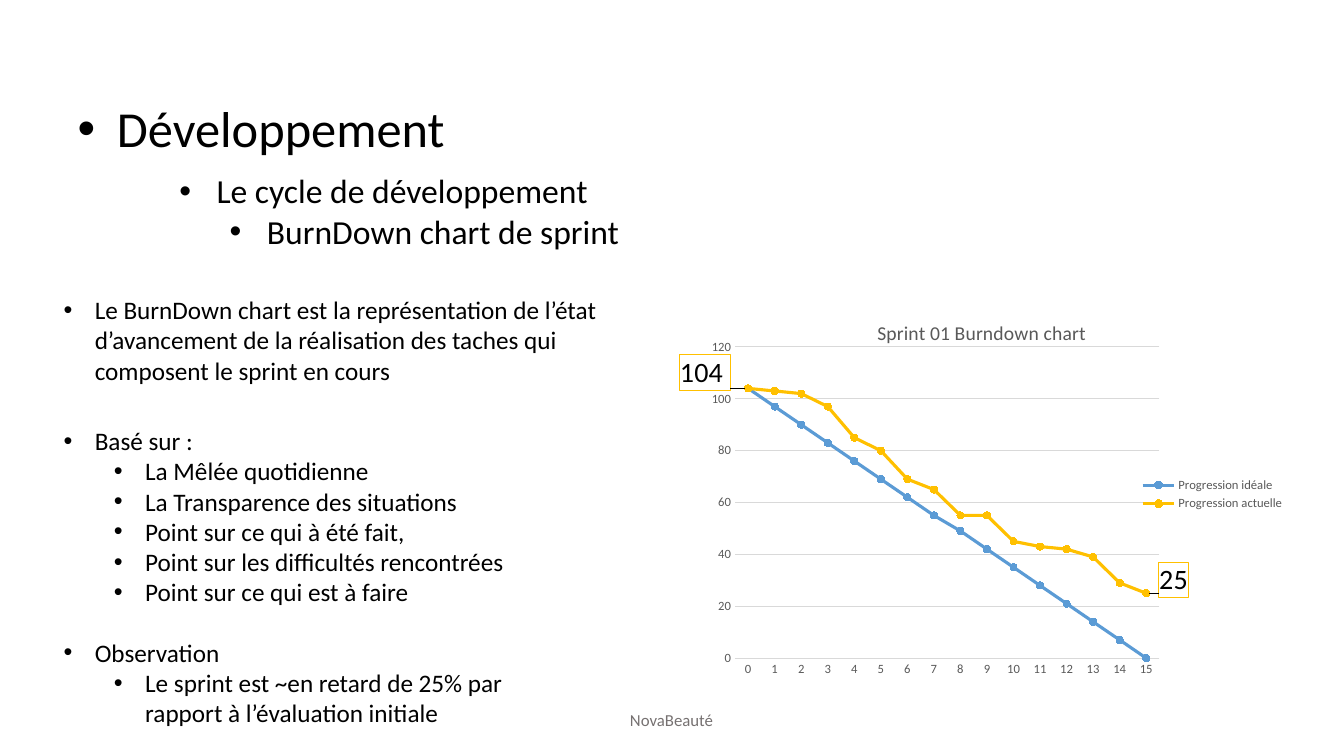
"""Build the sprint burndown chart slide."""
from lxml import etree
from pptx import Presentation
from pptx.chart.data import CategoryChartData
from pptx.dml.color import RGBColor
from pptx.enum.chart import (XL_CHART_TYPE, XL_LABEL_POSITION, XL_LEGEND_POSITION,
                             XL_MARKER_STYLE, XL_TICK_MARK)
from pptx.enum.text import MSO_ANCHOR, MSO_AUTO_SIZE, PP_ALIGN
from pptx.oxml import parse_xml
from pptx.oxml.ns import nsdecls, qn
from pptx.util import Inches, Pt

BLACK = RGBColor(0x00, 0x00, 0x00)
GREY = RGBColor(0x76, 0x71, 0x71)
CHART_GREY = RGBColor(0x59, 0x59, 0x59)
GRID = RGBColor(0xD9, 0xD9, 0xD9)
BLUE = RGBColor(0x5B, 0x9B, 0xD5)
GOLD = RGBColor(0xFF, 0xC0, 0x00)
FONT = "Calibri"
LINE_MARKERS = XL_CHART_TYPE.LINE_MARKERS
LEGEND_RIGHT = XL_LEGEND_POSITION.RIGHT
CIRCLE = XL_MARKER_STYLE.CIRCLE
NO_TICK = XL_TICK_MARK.NONE
LABEL_LEFT, LABEL_RIGHT = XL_LABEL_POSITION.LEFT, XL_LABEL_POSITION.RIGHT
TOP, LEFT, NO_FIT = MSO_ANCHOR.TOP, PP_ALIGN.LEFT, MSO_AUTO_SIZE.NONE


def fill_list(sp, box, items, size, indent, spacing=1.0):
    """Place a shape and fill it with (level, text, space before) bullets."""
    sp.left, sp.top, sp.width, sp.height = [Inches(v) for v in box]
    tf = sp.text_frame
    tf.word_wrap, tf.auto_size, tf.vertical_anchor = True, NO_FIT, TOP
    for i, (level, text, before) in enumerate(items):
        p = tf.add_paragraph() if i else tf.paragraphs[0]
        p.level, p.alignment, p.line_spacing = level, LEFT, spacing
        p.space_before, p.space_after = Pt(before), Pt(0)
        pPr = p._p.get_or_add_pPr()
        pPr.set("marL", str(Inches(indent + 0.5 * level)))
        pPr.set("indent", str(-Inches(indent)))
        etree.SubElement(pPr, qn("a:buFont")).set("typeface", "Arial")
        etree.SubElement(pPr, qn("a:buChar")).set("char", "•")
        r = p.add_run()
        r.text = text
        r.font.name, r.font.size, r.font.color.rgb = FONT, Pt(size), BLACK


def manual_layout(modes="", **fractions):
    """Return a chart layout element with the given fractions."""
    values = "".join(f'<c:{k} val="{v}"/>' for k, v in fractions.items())
    return parse_xml(f'<c:layout {nsdecls("c")}><c:manualLayout>{modes}{values}'
                     "</c:manualLayout></c:layout>")


prs = Presentation()
prs.slide_width, prs.slide_height = Inches(13.33), Inches(7.5)
s = prs.slides.add_slide(prs.slide_layouts[3])

sp = s.shapes.add_textbox(Inches(6.15), Inches(6.99), Inches(1.04), Inches(0.3))
sp.text_frame.word_wrap = False
r = sp.text_frame.paragraphs[0].add_run()
r.text = "NovaBeauté"
r.font.name, r.font.size, r.font.color.rgb = FONT, Pt(12), GREY

progress = [
    ("Progression idéale", BLUE,
     (104, 97, 90, 83, 76, 69, 62, 55, 49, 42, 35, 28, 21, 14, 7, 0)),
    ("Series 2", GRID, (104,) + (None,) * 15),
    ("Progression actuelle", GOLD,
     (104, 103, 102, 97, 85, 80, 69, 65, 55, 55, 45, 43, 42, 39, 29, 25)),
]
data = CategoryChartData(number_format="0")
data.categories = [str(day) for day in range(16)]
for name, color, values in progress:
    data.add_series(name, values)
chart = s.shapes.add_chart(LINE_MARKERS, Inches(6.61), Inches(3.02),
                           Inches(6.23), Inches(3.77), data).chart
chart.font.name, chart.font.size, chart.font.color.rgb = FONT, Pt(9), CHART_GREY

chart.has_title = True
r = chart.chart_title.text_frame.paragraphs[0].add_run()
r.text = "Sprint 01 Burndown chart"
r.font.name, r.font.size, r.font.bold = FONT, Pt(14), False
r.font.color.rgb = CHART_GREY
edge = '<c:xMode val="edge"/><c:yMode val="edge"/>'
title = chart.chart_title._element
for old in title.findall(qn("c:layout")):
    title.remove(old)
title.find(qn("c:tx")).addnext(manual_layout(edge, x=0.33, y=0.03))

chart.has_legend = True
chart.legend.position = LEGEND_RIGHT
chart.legend.include_in_layout = False
chart.legend._element.find(qn("c:legendPos")).addnext(parse_xml(
    f'<c:legendEntry {nsdecls("c")}><c:idx val="1"/><c:delete val="1"/></c:legendEntry>'))

plot_area = chart._chartSpace.chart.plotArea
for old in plot_area.findall(qn("c:layout")):
    plot_area.remove(old)
plot_area.insert(0, manual_layout('<c:layoutTarget val="inner"/>' + edge,
                                  x=0.109, y=0.112, w=0.676, h=0.819))

for axis in (chart.category_axis, chart.value_axis):
    axis.major_tick_mark = axis.minor_tick_mark = NO_TICK
chart.category_axis.format.line.color.rgb = GRID
chart.category_axis.format.line.width = Pt(0.75)
axis = chart.value_axis
axis.minimum_scale, axis.maximum_scale, axis.major_unit = 0, 120, 20
axis.format.line.fill.background()
axis.major_gridlines.format.line.color.rgb = GRID
axis.major_gridlines.format.line.width = Pt(0.75)

chart.plots[0].vary_by_categories = False
for series, (name, color, values) in zip(chart.plots[0].series, progress):
    series.smooth = False
    series.format.line.color.rgb, series.format.line.width = color, Pt(2.25)
    series.marker.style, series.marker.size = CIRCLE, 5
    series.marker.format.fill.solid()
    series.marker.format.fill.fore_color.rgb = color
    series.marker.format.line.color.rgb = color

actual = chart.plots[0].series[2]
actual.data_labels.show_value = False
dLbls = actual._element.find(qn("c:dLbls"))
for day, text, position, dx, dy in ((0, "104 ", LABEL_LEFT, -0.017, -0.042),
                                    (15, "25", LABEL_RIGHT, 0.008, -0.035)):
    label = actual.points[day].data_label
    r = label.text_frame.paragraphs[0].add_run()
    r.text = text
    r.font.name, r.font.size, r.font.color.rgb = FONT, Pt(20), BLACK
    label.position = position
    dLbl = dLbls.findall(qn("c:dLbl"))[-1]
    dLbl.find(qn("c:idx")).addnext(manual_layout(x=dx, y=dy))
    dLbl.find(qn("c:tx")).addnext(parse_xml(
        f'<c:spPr {nsdecls("c", "a")}><a:solidFill><a:srgbClr val="FFFFFF"/></a:solidFill>'
        f'<a:ln w="{Pt(0.75)}"><a:solidFill><a:srgbClr val="{GOLD}"/></a:solidFill></a:ln></c:spPr>'))
dLbls.append(parse_xml(
    f'<c:extLst {nsdecls("c")}><c:ext uri="{{CE6537A1-D6FC-4f65-9D91-7224C49458BB}}" '
    'xmlns:c15="http://schemas.microsoft.com/office/drawing/2012/chart">'
    '<c15:showLeaderLines val="0"/></c:ext></c:extLst>'))

fill_list(s.shapes.title, (0.67, 0.98, 9.48, 1.8), [(0, "Développement", 0)], 36, 0.39, 0.9)
sp = s.shapes.add_textbox(0, 0, 0, 0)
fill_list(sp, (1.68, 1.64, 10.24, 0.91),
          [(0, "Le cycle de développement", 0), (1, "BurnDown chart de sprint", 0)], 24, 0.37)
fill_list(s.placeholders[1], (0.53, 2.87, 5.53, 1.01),
          [(0, "Le BurnDown chart est la représentation de l’état d’avancement de la "
               "réalisation des taches qui composent le sprint en cours", 0)], 18, 0.31)
fill_list(s.placeholders[2], (0.53, 4.17, 5.28, 3.13), [
    (0, "Basé sur :", 0),
    (1, "La Mêlée quotidienne", 0),
    (1, "La Transparence des situations", 0),
    (1, "Point sur ce qui à été fait,", 0),
    (1, "Point sur les difficultés rencontrées", 0),
    (1, "Point sur ce qui est à faire", 0),
    (0, "Observation", 21.6),
    (1, "Le sprint est ~en retard de 25% par rapport à l’évaluation initiale", 0),
], 18, 0.31)

prs.save("out.pptx")
